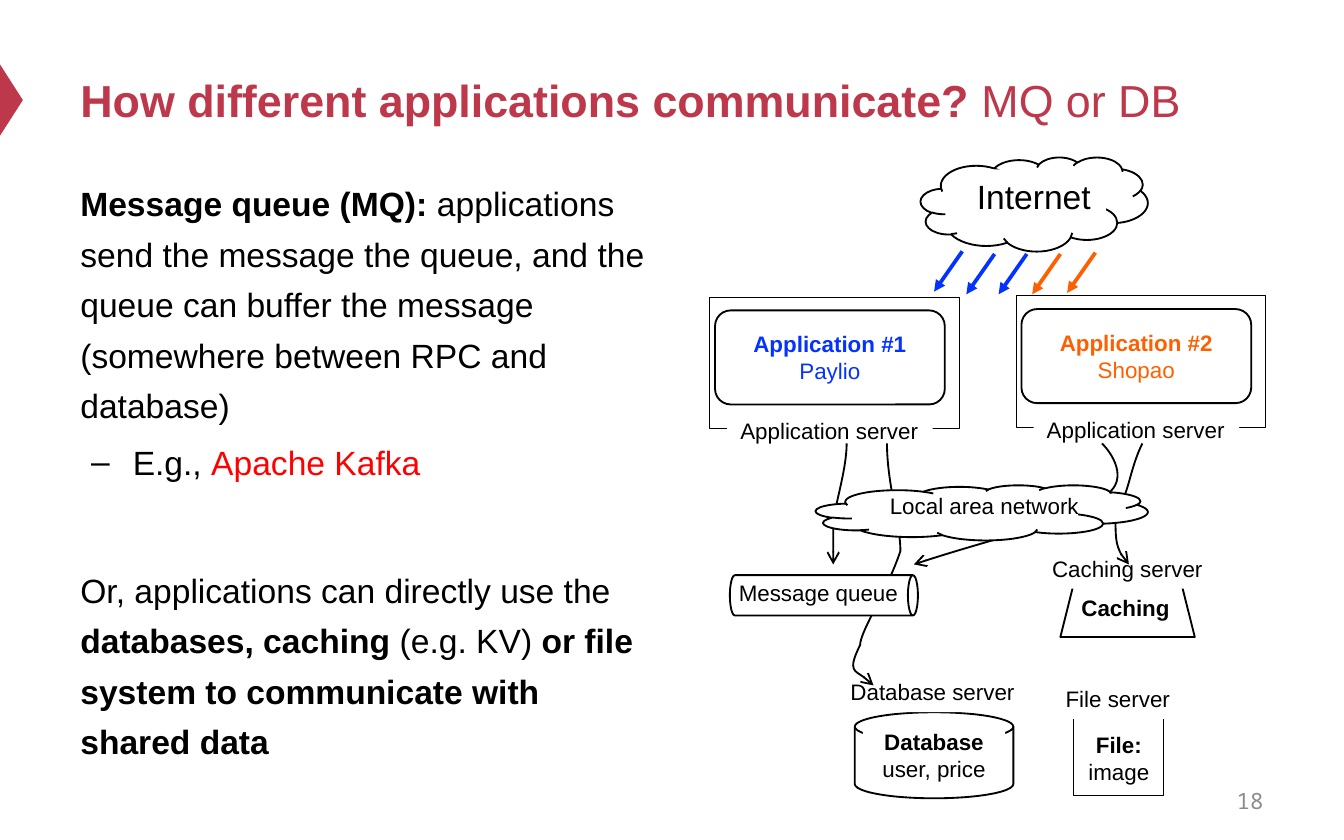
from lxml import etree
from pptx import Presentation
from pptx.dml.color import RGBColor
from pptx.enum.shapes import MSO_CONNECTOR, MSO_SHAPE
from pptx.enum.text import MSO_ANCHOR, PP_ALIGN
from pptx.oxml.ns import qn
from pptx.util import Inches, Pt

RECTANGLE, ROUNDED = MSO_SHAPE.RECTANGLE, MSO_SHAPE.ROUNDED_RECTANGLE
CLOUD, CAN, TRIANGLE = MSO_SHAPE.CLOUD, MSO_SHAPE.CAN, MSO_SHAPE.ISOSCELES_TRIANGLE
DISK, TRAPEZOID = MSO_SHAPE.FLOWCHART_MAGNETIC_DISK, MSO_SHAPE.TRAPEZOID
STRAIGHT = MSO_CONNECTOR.STRAIGHT
TOP, MIDDLE = MSO_ANCHOR.TOP, MSO_ANCHOR.MIDDLE
LEFT, CENTER, RIGHT = PP_ALIGN.LEFT, PP_ALIGN.CENTER, PP_ALIGN.RIGHT

THEME = {
    "font": "Arial", "number_font": "Noto Sans Mono",
    "crimson": "BE384B", "black": "000000", "white": "FFFFFF", "red": "FF0000",
    "blue": "0432FF", "orange": "FF5F00", "grey": "8C8C8C",
    "title": 24, "body": 18, "label": 12,
    "thin": 0.5, "outline": 1, "request": 2,
}

presentation = Presentation()
presentation.slide_width, presentation.slide_height = Inches(10), Inches(6.25)
slide = presentation.slides.add_slide(presentation.slide_layouts[6])
CELL = presentation.slide_width / 100  # square grid: 100 columns by 62.5 rows


def add_box(geometry, place, paragraphs=(), fill=None, line=None, size="label", font="font",
            align=CENTER, anchor=TOP, wrap=True):
    """Add a shape, or a text box if geometry is None.

    place is left, top, width, height in cells; a paragraph is a list of
    (text, bold, colour) runs.
    """
    lengths = [round(length * CELL) for length in place]
    if geometry is None:
        shape = slide.shapes.add_textbox(*lengths)
    else:
        shape = slide.shapes.add_shape(geometry, *lengths)
        shape.shadow.inherit = False
        if fill:
            shape.fill.solid()
            shape.fill.fore_color.rgb = RGBColor.from_string(THEME[fill])
        else:
            shape.fill.background()
        if line:
            shape.line.width = Pt(THEME[line])
            shape.line.color.rgb = RGBColor.from_string(THEME["black"])
        else:
            shape.line.fill.background()
    frame = shape.text_frame
    for name, value in {"word_wrap": wrap, "vertical_anchor": anchor}.items():
        setattr(frame, name, value)
    for index, runs in enumerate(paragraphs):
        paragraph = frame.add_paragraph() if index else frame.paragraphs[0]
        paragraph.alignment = align
        for text, bold, colour in runs:
            run = paragraph.add_run()
            run.text = text
            formats = {"name": THEME[font], "size": Pt(THEME[size]), "bold": bold}
            for name, value in formats.items():
                setattr(run.font, name, value)
            run.font.color.rgb = RGBColor.from_string(THEME[colour])
    return shape


def style_arrow(shape, colour, width, head):
    shape.line.width = Pt(THEME[width])
    shape.line.color.rgb = RGBColor.from_string(THEME[colour])
    etree.SubElement(shape.line._get_or_add_ln(), qn("a:tailEnd"), type=head)
    properties = shape._element.spPr
    if properties.find(qn("a:effectLst")) is None:
        etree.SubElement(properties, qn("a:effectLst"))


# Title, body and slide number
marker = add_box(TRIANGLE, (-1.8, 6.6, 5.3, 1.7), fill="crimson")
marker.rotation = 90
add_box(None, (5, 2.5, 90, 9.8), [[
    ("How different applications communicate?", True, "crimson"),
    (" MQ or DB", False, "crimson"),
]], size="title", align=LEFT, anchor=MIDDLE)
body = add_box(None, (5, 12.4, 45, 45.6), [
    [("Message queue (MQ): ", True, "black"),
     ("applications send the message the queue, and the queue can buffer the message "
      "(somewhere between RPC and database)", False, "black")],
    [("E.g., ", False, "black"), ("Apache Kafka", False, "red")],
    [("Or, applications can directly use the ", False, "black"),
     ("databases, caching ", True, "black"), ("(e.g. KV)", False, "black"),
     (" or file system to communicate with shared data", True, "black")],
], size="body", align=LEFT)
for paragraph, space_before in zip(body.text_frame.paragraphs, (0, 3.6, 41.6)):
    paragraph.line_spacing = 1.25
    paragraph.space_before = Pt(space_before)
example = body.text_frame.paragraphs[1]._p.get_or_add_pPr()
example.set("marL", str(round(3.9 * CELL)))
example.set("indent", str(round(-3.1 * CELL)))
etree.SubElement(example, qn("a:buFont"), typeface=THEME["font"])
etree.SubElement(example, qn("a:buChar"), char="–")
add_box(None, (71.7, 57.9, 23.3, 3.3), [[("18", False, "grey")]],
        font="number_font", align=RIGHT, anchor=MIDDLE)

# Internet and its requests
add_box(CLOUD, (68.5, 11.7, 16.9, 7), fill="white", line="outline")
add_box(RECTANGLE, (71.7, 12.6, 10.6, 4), [[("Internet", False, "black")]],
        fill="white", size="body", align=LEFT, wrap=False)
requests = [(71.6, 18.7, "blue"), (74, 18.9, "blue"), (76.4, 18.9, "blue"),
            (78.9, 18.9, "orange"), (81.5, 18.8, "orange")]
for column, row, colour in requests:
    ends = [round(length * CELL) for length in (column, row, column - 2.1, row + 3)]
    style_arrow(slide.shapes.add_connector(STRAIGHT, *ends), colour, "request", "triangle")

# Application servers
applications = [(52.8, 22.1, "Application #1", "Paylio", "blue"),
                (75.6, 22, "Application #2", "Shopao", "orange")]
for column, row, heading, name, colour in applications:
    add_box(RECTANGLE, (column, row, 18.6, 9.8), fill="white", line="thin")
    add_box(ROUNDED, (column + 0.4, row + 1, 17.1, 7),
            [[(heading, True, colour)], [(name, False, colour)]],
            fill="white", line="outline", anchor=MIDDLE)
    add_box(RECTANGLE, (column + 1.3, row + 8.45, 15.3, 3),
            [[("Application server", False, "black")]],
            fill="white", align=LEFT, wrap=False)

# Storage servers, each with its caption
add_box(DISK, (63.6, 53, 11.8, 6.4), line="outline")
add_box(RECTANGLE, (64.2, 53.7, 10.6, 5),
        [[("Database", True, "black")], [("user, price", False, "black")]], fill="white")
add_box(RECTANGLE, (79.9, 52.4, 6.7, 6.8), fill="white", line="thin")
add_box(None, (78.3, 53.9, 9.9, 5),
        [[("File:", True, "black")], [("image", False, "black")]])
add_box(TRAPEZOID, (78.9, 43, 10, 4.4), fill="white", line="outline")
add_box(None, (79.4, 43.7, 8.7, 3), [[("Caching", True, "black")]], wrap=False)
captions = [("Database server", 62.3, 50, 14.3), ("File server", 78.3, 50.5, 9.9),
            ("Caching server", 77.3, 40.8, 13.3)]
for text, column, row, width in captions:
    add_box(RECTANGLE, (column, row, width, 3), [[(text, False, "black")]],
            fill="white", align=LEFT, wrap=False)

# Curved paths from the applications: a start, then three points per curve
paths = [
    [(81.7, 32.9), (82.9, 34.4), (84.1, 35.8), (81.7, 37.4),
     (79.4, 38.9), (73.5, 40.4), (67.6, 42)],
    [(85.3, 33.3), (84.4, 35.1), (83.6, 36.9), (83.3, 38.3),
     (83.1, 39.7), (83.4, 40.7), (83.7, 41.7)],
    [(65.6, 32.9), (66.3, 35.8), (66.9, 38.8), (66.6, 41.4),
     (66.2, 43.9), (63.8, 46.7), (63.6, 48.3), (63.3, 49.8), (64.1, 50.2), (64.9, 50.6)],
    [(63.1, 33.1), (62.8, 35.3), (62.5, 37.5), (62.3, 39),
     (62.2, 40.6), (62.3, 41.5), (62.4, 42.3)],
]
for index, points in enumerate(paths):
    if index == 3:  # the queue lies over the database path, under its own
        queue = add_box(CAN, (59.8, 37.3, 3, 14), fill="white", line="outline")
        queue.rotation = 90
        add_box(None, (53.9, 42.6, 14, 3), [[("Message queue", False, "black")]])
    builder = slide.shapes.build_freeform(*points[0], scale=CELL)
    builder.add_line_segments(points[1:], close=False)
    curve = builder.convert_to_shape()
    curve.fill.background()
    curve.shadow.inherit = False
    outline = next(curve._element.iter(qn("a:path")))
    segments = outline.findall(qn("a:lnTo"))
    for start in range(0, len(segments), 3):
        bezier = etree.SubElement(outline, qn("a:cubicBezTo"))
        for segment in segments[start:start + 3]:
            bezier.append(segment[0])
            outline.remove(segment)
    style_arrow(curve, "black", "outline", "arrow")

# Network in front of the paths
add_box(CLOUD, (60.7, 36.1, 24.7, 4.1), fill="white", line="outline")
add_box(None, (61.1, 36.1, 24.3, 3), [[("Local area network", False, "black")]])

presentation.save("out.pptx")
